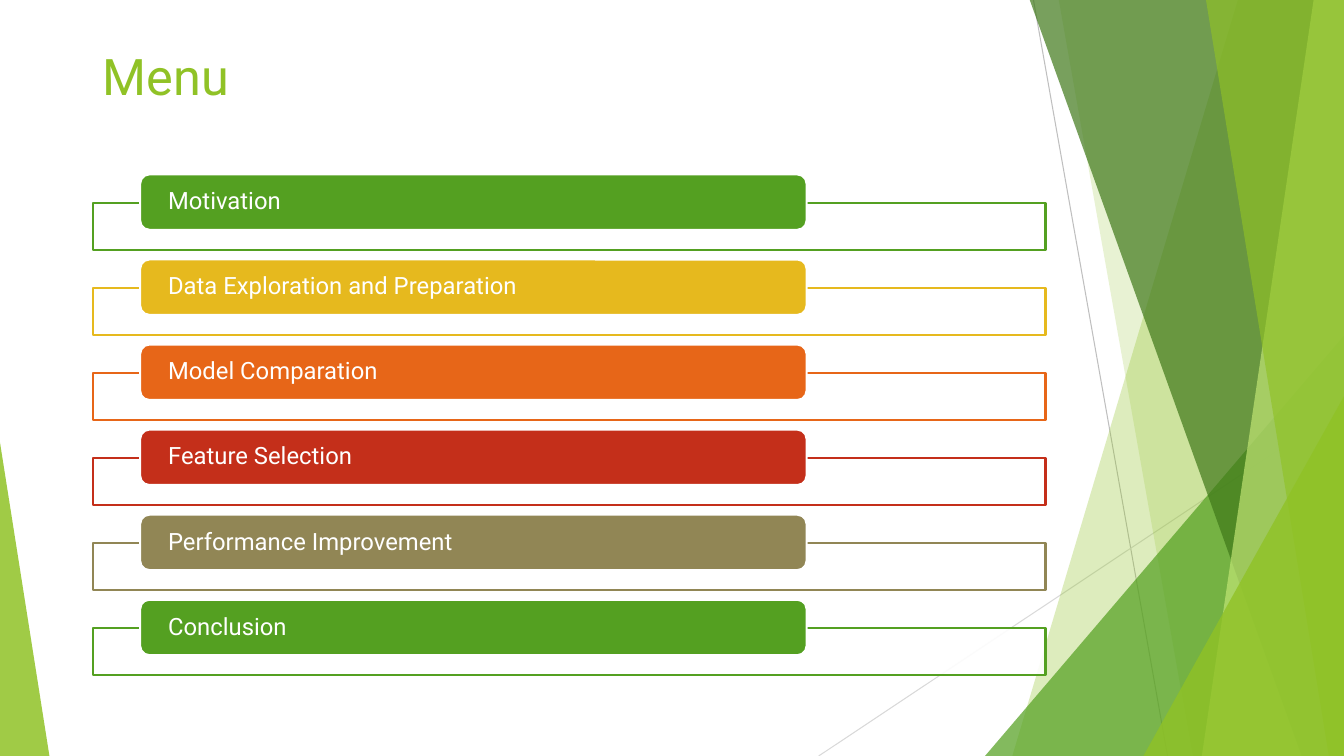
from dataclasses import dataclass

from lxml import etree
from pptx import Presentation
from pptx import util as u
from pptx.dml.color import RGBColor
from pptx.enum import shapes, text
from pptx.oxml.ns import qn

FONT = "Roboto"
COLORS = {
    "white": "FFFFFF", "lime": "90C226", "pale": "C0E474", "green": "54A021",
    "forest": "3F7819", "gold": "E6B91E", "orange": "E76618", "red": "C42F1A",
    "khaki": "918655", "gray": "BFBFBF", "silver": "D9D9D9",
}
WIDTH, HEIGHT, TOP = 13.33, 7.5, -0.01


@dataclass
class Ray:
    start: tuple[float, float]
    end: tuple[float, float]
    color: str


@dataclass
class Shard:
    """A band reaching the right edge, given by its top and bottom left corners."""
    top_x: float
    bottom_x: float
    color: str
    opacity: int


@dataclass
class Corner:
    """A right triangle standing on the bottom edge."""
    left: float
    top: float
    width: float
    peak: float
    color: str
    opacity: int


@dataclass
class Topic:
    label: str
    color: str


RAYS = [
    Ray((10.25, 0), (11.58, HEIGHT), "gray"),
    Ray((WIDTH, 4.03), (8.12, HEIGHT), "silver"),
]
FACETS = [
    Shard(12.28, 10.04, "lime", 30),
    Shard(10.5, 11.83, "lime", 20),
    Corner(9.77, 3.33, 3.56, 1, "green", 72),
    Shard(10.21, 12.91, "forest", 70),
    Shard(13.03, 11.92, "pale", 70),
    Shard(11.96, 13.18, "lime", 65),
    Corner(11.34, 3.93, 1.99, 1, "lime", 80),
    Corner(0, 4.39, 0.49, 0, "lime", 85),
]
TOPICS = [
    Topic("Motivation", "green"),
    Topic("Data Exploration and Preparation", "gold"),
    Topic("Model Comparation", "orange"),
    Topic("Feature Selection", "red"),
    Topic("Performance Improvement", "khaki"),
    Topic("Conclusion", "green"),
]
FIRST_FRAME, LAST_FRAME, BAR_RISE = 2.01, 6.23, 0.28


def rgb(name: str) -> RGBColor:
    return RGBColor.from_string(COLORS[name])


def paint(shape, fill: str, opacity: int = 100, line: str | None = None) -> None:
    shape.shadow.inherit = False
    shape.fill.solid()
    shape.fill.fore_color.rgb = rgb(fill)
    if opacity < 100:
        color = shape.fill._xPr.find(qn("a:solidFill"))[0]
        etree.SubElement(color, qn("a:alpha"), val=str(opacity * 1000))
    if line:
        shape.line.color.rgb = rgb(line)
        shape.line.width = u.Pt(1.5)
    else:
        shape.line.fill.background()


def add_preset(page, kind, left: float, top: float, width: float, height: float):
    return page.shapes.add_shape(kind, u.Inches(left), u.Inches(top),
                                 u.Inches(width), u.Inches(height))


def write(paragraph, words: str, size: float, color: str) -> None:
    span = paragraph.add_run()
    span.text = words
    span.font.name = FONT
    span.font.size = u.Pt(size)
    span.font.color.rgb = rgb(color)


def draw_ray(page, ray: Ray) -> None:
    points = [u.Inches(value) for value in ray.start + ray.end]
    line = page.shapes.add_connector(shapes.MSO_CONNECTOR.STRAIGHT, *points)
    line.line.color.rgb = rgb(ray.color)
    line.line.width = u.Pt(0.75)
    etree.SubElement(line._element.spPr, qn("a:effectLst"))


def draw_shard(page, shard: Shard) -> None:
    outline = [(shard.top_x, TOP), (WIDTH, TOP), (WIDTH, HEIGHT), (shard.bottom_x, HEIGHT)]
    points = [(u.Inches(x), u.Inches(y)) for x, y in outline]
    builder = page.shapes.build_freeform(*points[0])
    builder.add_line_segments(points[1:], close=True)
    paint(builder.convert_to_shape(), shard.color, shard.opacity)


def draw_corner(page, corner: Corner) -> None:
    triangle = add_preset(page, shapes.MSO_SHAPE.ISOSCELES_TRIANGLE, corner.left,
                          corner.top, corner.width, HEIGHT - corner.top)
    triangle.adjustments[0] = corner.peak
    paint(triangle, corner.color, corner.opacity)


def draw_topic(page, topic: Topic, top: float) -> None:
    frame = add_preset(page, shapes.MSO_SHAPE.RECTANGLE, 0.92, top, 9.45, 0.47)
    paint(frame, "white", 90, topic.color)

    bar = add_preset(page, shapes.MSO_SHAPE.ROUNDED_RECTANGLE, 1.39, top - BAR_RISE, 6.61, 0.55)
    paint(bar, topic.color, line="white")
    box = bar.text_frame
    box.word_wrap = True
    box.vertical_anchor = text.MSO_ANCHOR.MIDDLE
    box.margin_left = box.margin_right = u.Inches(0.25)
    box.margin_top = box.margin_bottom = 0
    paragraph = box.paragraphs[0]
    paragraph.alignment = text.PP_ALIGN.LEFT
    paragraph.line_spacing = 0.9
    write(paragraph, topic.label, 17, "white")


def main() -> None:
    deck = Presentation()
    deck.slide_width, deck.slide_height = u.Inches(WIDTH), u.Inches(HEIGHT)
    page = deck.slides.add_slide(deck.slide_layouts[6])

    # Faceted backdrop
    for ray in RAYS:
        draw_ray(page, ray)
    for facet in FACETS:
        if isinstance(facet, Shard):
            draw_shard(page, facet)
        else:
            draw_corner(page, facet)

    # Title
    title = page.shapes.add_textbox(u.Inches(0.92), u.Inches(0.4), u.Inches(11.5), u.Inches(0.95))
    title.text_frame.word_wrap = True
    write(title.text_frame.paragraphs[0], "Menu", 36, "lime")

    # Topic list
    pitch = (LAST_FRAME - FIRST_FRAME) / (len(TOPICS) - 1)
    for index, topic in enumerate(TOPICS):
        draw_topic(page, topic, FIRST_FRAME + index * pitch)

    deck.save("out.pptx")


if __name__ == "__main__":
    main()
